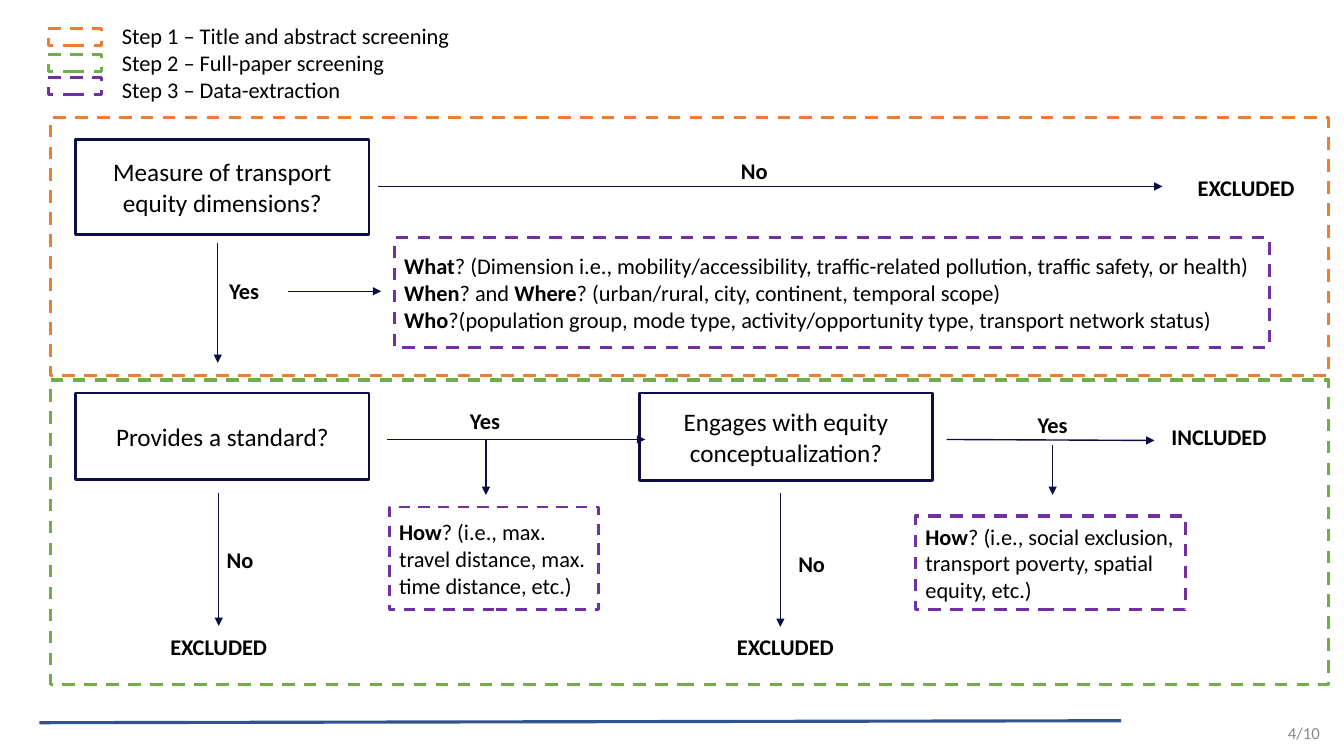
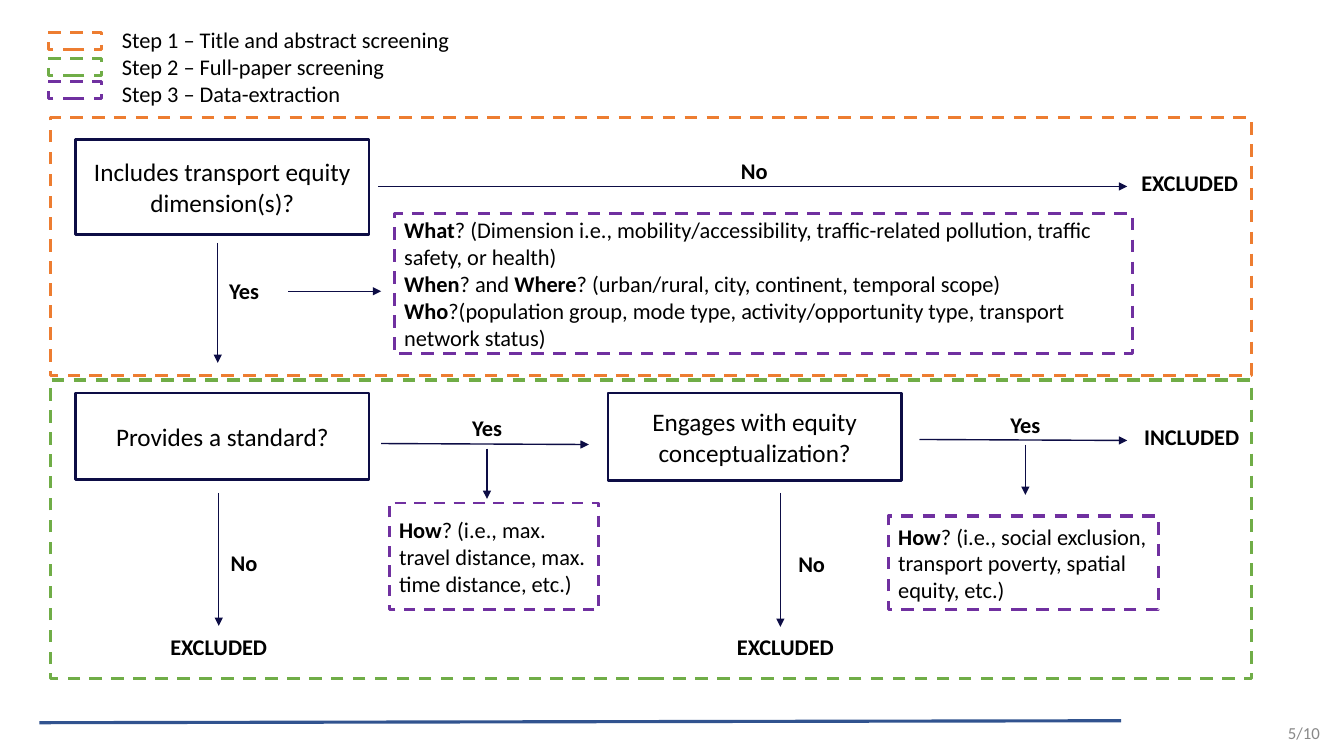
from dataclasses import dataclass

from pptx import Presentation
from pptx.dml.color import RGBColor
from pptx.enum.dml import MSO_LINE
from pptx.enum.shapes import MSO_CONNECTOR, MSO_SHAPE
from pptx.enum.text import MSO_ANCHOR, MSO_AUTO_SIZE, PP_ALIGN
from pptx.oxml.ns import qn
from pptx.util import Inches, Pt
from lxml.etree import SubElement

FONT = "Calibri"
BLACK = RGBColor(0x00, 0x00, 0x00)
WHITE = RGBColor(0xFF, 0xFF, 0xFF)
NAVY = RGBColor(0x0D, 0x0D, 0x45)
ORANGE = RGBColor(0xED, 0x7D, 0x31)
GREEN = RGBColor(0x70, 0xAD, 0x47)
PURPLE = RGBColor(0x70, 0x30, 0xA0)
RULE_BLUE = RGBColor(0x31, 0x53, 0x8F)
GREY = RGBColor(0x88, 0x88, 0x88)

# Text between asterisks is bold
SCOPE = [
    "*What*? (Dimension i.e., mobility/accessibility, traffic-related pollution, "
    "traffic safety, or health)",
    "*When*? and *Where*? (urban/rural, city, continent, temporal scope)",
    "*Who*?(population group, mode type, activity/opportunity type, "
    "transport network status)",
]
STANDARD_HOW = ["*How*? (i.e., max. travel distance, max. time distance, etc.)"]
CONCEPT_HOW = ["*How*? (i.e., social exclusion, transport poverty, spatial equity, etc.)"]
STEPS = [
    (0.11, ORANGE, "Step 1 – Title and abstract screening"),
    (0.37, GREEN, "Step 2 – Full-paper screening"),
    (0.6, PURPLE, "Step 3 – Data-extraction"),
]


@dataclass
class Flow:
    """What varies between the versions of the flow chart."""
    page: str
    question: str
    legend_top: float
    frame_width: float
    full_paper_height: float
    excluded: tuple
    excluded_tip: float
    scope: tuple
    concept_left: float
    outcome_left: float      # start of the arrow to INCLUDED
    standard_yes: tuple
    standard_no: tuple
    standard_arrow: tuple
    standard_drop: tuple
    standard_how_top: float


FLOWS = [
    Flow("4/10", "Measure of transport equity dimensions?", 0.17, 12.68, 3.02,
         (11.63, 1.66), 11.53, (3.91, 2.36, 8.68, 1.09), 6.34, 9.39,
         (4.37, 3.97), (1.94, 5.35), (3.84, 4.36, 6.4, 4.36),
         (4.82, 4.37, 4.82, 4.91), 5.03),
    Flow("5/10", "Includes transport equity dimension(s)?", 0.21, 11.91, 2.96,
         (11.07, 1.61), 11.18, (3.91, 2.12, 7.32, 1.39), 6.03, 9.12,
         (4.39, 4.04), (1.98, 5.38), (3.78, 4.4, 5.84, 4.41),
         (4.83, 4.45, 4.83, 4.95), 4.99),
]


class Deck:
    """Holds the style and the current slide."""

    def __init__(self):
        self.prs = Presentation()
        self.prs.slide_width, self.prs.slide_height = Inches(13.33), Inches(7.5)
        self.layout = self.prs.slide_layouts[6]
        self.slide = None

    def new_slide(self):
        first = self.slide is None
        self.slide = self.prs.slides.add_slide(self.layout)
        if first:
            # The footer rule belongs to the layout, so every slide shows it
            rule = self.line(0.39, 7.17, 11.12, 7.15, RULE_BLUE, 2.25)
            self.layout.shapes.element.append(rule.element)

    def add_paragraphs(self, frame, paragraphs, size=16, align=PP_ALIGN.LEFT,
                       color=BLACK):
        frame.word_wrap = True
        for index, content in enumerate(paragraphs):
            para = frame.paragraphs[0] if index == 0 else frame.add_paragraph()
            para.alignment = align
            for position, piece in enumerate(content.split("*")):
                if piece:
                    run = para.add_run()
                    run.text = piece
                    run.font.name, run.font.size = FONT, Pt(size)
                    run.font.bold = position % 2 == 1
                    run.font.color.rgb = color

    def rect(self, at, fill=None, outline=None, weight=2.25, dashed=False):
        shape = self.slide.shapes.add_shape(MSO_SHAPE.RECTANGLE, *map(Inches, at))
        shape.shadow.inherit = False
        if fill is None:
            shape.fill.background()
        else:
            shape.fill.solid()
            shape.fill.fore_color.rgb = fill
        if outline is None:
            shape.line.fill.background()
        else:
            shape.line.color.rgb = outline
            shape.line.width = Pt(weight)
            if dashed:
                shape.line.dash_style = MSO_LINE.DASH
        shape.text_frame.vertical_anchor = MSO_ANCHOR.MIDDLE
        return shape

    def label(self, text, left, top, width=0.88, height=0.41):
        shape = self.rect((left, top, width, height), WHITE)
        self.add_paragraphs(shape.text_frame, [f"*{text}*"], align=PP_ALIGN.CENTER)

    def question(self, text, *at):
        shape = self.rect(at, WHITE, NAVY, 2)
        self.add_paragraphs(shape.text_frame, [text], 18, PP_ALIGN.CENTER)

    def extraction(self, paragraphs, at, weight=2.25):
        shape = self.rect(at, WHITE, PURPLE, weight, dashed=True)
        self.add_paragraphs(shape.text_frame, paragraphs)

    def dashed_frame(self, color, *at):
        self.rect(at, outline=color, dashed=True)

    def text(self, paragraphs, at, **style):
        frame = self.slide.shapes.add_textbox(*map(Inches, at)).text_frame
        self.add_paragraphs(frame, paragraphs, **style)
        return frame

    def line(self, x1, y1, x2, y2, color, weight):
        link = self.slide.shapes.add_connector(
            MSO_CONNECTOR.STRAIGHT, *map(Inches, (x1, y1, x2, y2)))
        link.line.color.rgb = color
        link.line.width = Pt(weight)
        SubElement(link.element.spPr, qn("a:effectLst"))
        return link

    def arrow(self, *ends):
        link = self.line(*ends, NAVY, 1)
        outline = link.element.spPr.find(qn("a:ln"))
        SubElement(outline, qn("a:tailEnd"), type="triangle")

    def legend(self, top):
        for offset, color, _ in STEPS:
            self.dashed_frame(color, 0.48, top + offset, 0.53, 0.17)
        frame = self.text([step for _, _, step in STEPS], (1.11, top, 5.11, 0.91))
        frame.auto_size = MSO_AUTO_SIZE.SHAPE_TO_FIT_TEXT

    def page_number(self, text):
        frame = self.text([text], (10.05, 7.07, 3.14, 0.4),
                          size=12, align=PP_ALIGN.RIGHT, color=GREY)
        frame.vertical_anchor = MSO_ANCHOR.MIDDLE


def draw_flow(deck, flow):
    deck.new_slide()
    outcome = flow.outcome_left

    # Answers and results
    deck.label("Yes", 1.98, 2.6, height=0.57)
    deck.label("No", 7.04, 1.51, height=0.37)
    deck.label("EXCLUDED", *flow.excluded, width=1.46)
    deck.label("Yes", *flow.standard_yes)
    deck.label("No", *flow.standard_no)
    deck.label("No", 7.61, 5.39)
    deck.label("Yes", outcome + 0.61, 4.01)
    deck.label("INCLUDED", outcome + 2.11, 4.13, width=1.18)
    for left in (1.2, 6.82):
        deck.label("EXCLUDED", left, 6.21, width=1.94)

    # Screening questions
    deck.question(flow.question, 0.75, 1.38, 2.91, 0.95)
    deck.question("Provides a standard?", 0.75, 3.9, 2.91, 0.86)
    deck.question("Engages with equity conceptualization?",
                  flow.concept_left, 3.9, 2.91, 0.87)

    # Data to extract
    how_top = flow.standard_how_top
    deck.extraction(SCOPE, flow.scope)
    deck.extraction(STANDARD_HOW, (3.86, how_top, 2.08, 6.05 - how_top), 2)
    deck.extraction(CONCEPT_HOW, (outcome - 0.31, 5.12, 2.68, 0.93))

    # Arrows
    for ends in (
        (3.75, 1.85, flow.excluded_tip, 1.85),
        (2.16, 2.41, 2.16, 3.6),
        (2.86, 2.89, 3.78, 2.89),
        flow.standard_arrow,
        flow.standard_drop,
        (2.17, 4.89, 2.17, 6.21),
        (7.74, 4.89, 7.74, 6.22),
        (outcome, 4.36, outcome + 2.06, 4.37),
        (outcome + 1.05, 4.41, outcome + 1.05, 4.91),
    ):
        deck.arrow(*ends)

    # Step frames, legend and page number
    deck.dashed_frame(ORANGE, 0.5, 1.17, flow.frame_width, 2.56)
    deck.dashed_frame(GREEN, 0.5, 3.77, flow.frame_width, flow.full_paper_height)
    deck.legend(flow.legend_top)
    deck.page_number(flow.page)


def main():
    deck = Deck()
    for flow in FLOWS:
        draw_flow(deck, flow)
    deck.prs.save("out.pptx")


if __name__ == "__main__":
    main()
